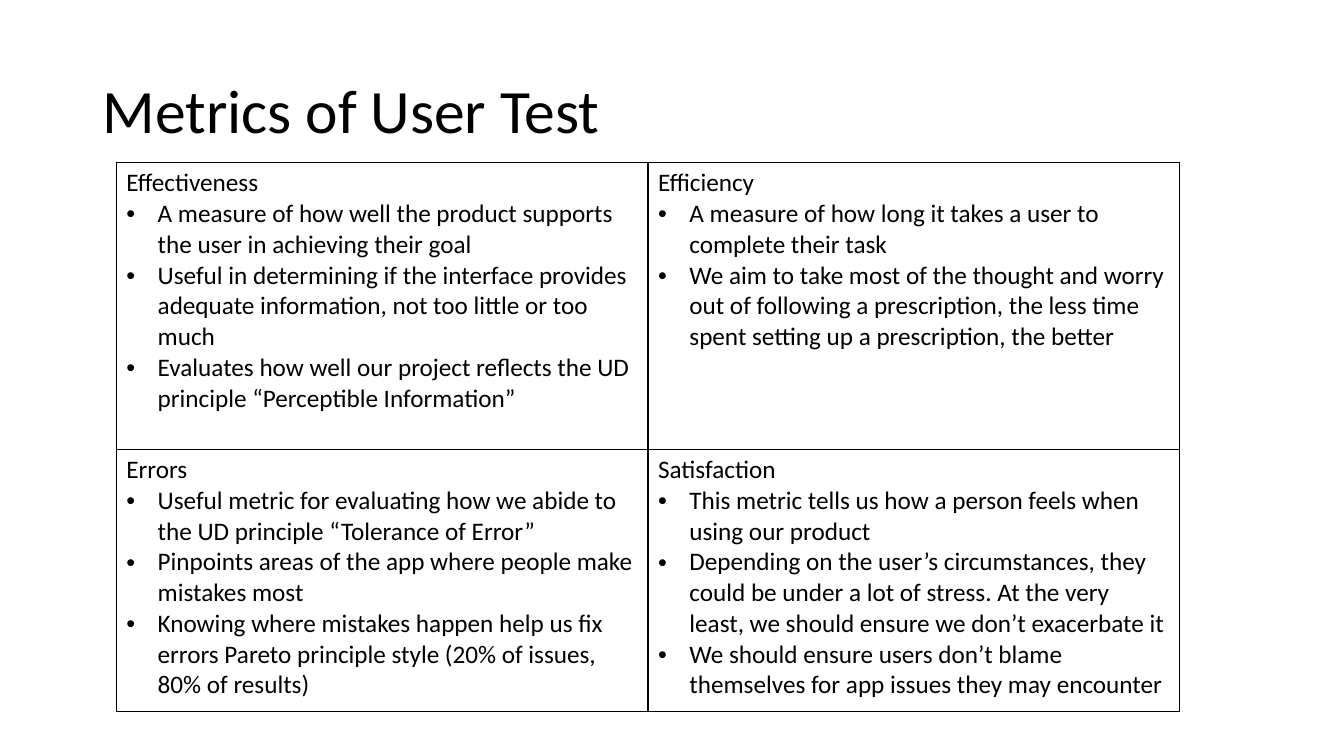
from lxml import etree
from pptx import Presentation
from pptx import util as u
from pptx.dml.color import RGBColor
from pptx.enum import text
from pptx.oxml.ns import qn

BLACK = RGBColor(0, 0, 0)
FONT = "Calibri"
TITLE = "Metrics of User Test"

# Each metric: heading, then its bullets
METRICS = [
    [
        ("Effectiveness", [
            "A measure of how well the product supports the user in achieving their goal",
            "Useful in determining if the interface provides adequate information, "
            "not too little or too much",
            "Evaluates how well our project reflects the UD principle “Perceptible Information”",
        ]),
        ("Efficiency", [
            "A measure of how long it takes a user to complete their task",
            "We aim to take most of the thought and worry out of following a prescription, "
            "the less time spent setting up a prescription, the better",
        ]),
    ],
    [
        ("Errors", [
            "Useful metric for evaluating how we abide to the UD principle “Tolerance of Error”",
            "Pinpoints areas of the app where people make mistakes most",
            "Knowing where mistakes happen help us fix errors Pareto principle style "
            "(20% of issues, 80% of results)",
        ]),
        ("Satisfaction", [
            "This metric tells us how a person feels when using our product",
            "Depending on the user’s circumstances, they could be under a lot of stress. "
            "At the very least, we should ensure we don’t exacerbate it",
            "We should ensure users don’t blame themselves for app issues they may encounter",
        ]),
    ],
]
COL_WIDTH = u.Cm(13.4)
ROW_HEIGHTS = [u.Cm(7.23), u.Cm(6.6)]
INDENT = u.Cm(0.79)


def add_run(p, words, size):
    r = p.add_run()
    r.text = words
    r.font.name, r.font.size = FONT, u.Pt(size)
    r.font.color.rgb = BLACK


def add_bullet(p):
    pPr = p._p.get_or_add_pPr()
    pPr.set("marL", str(INDENT))
    pPr.set("indent", str(-INDENT))
    etree.SubElement(pPr, qn("a:buFont")).set("typeface", "Arial")
    etree.SubElement(pPr, qn("a:buChar")).set("char", "•")


def add_borders(cell):
    tcPr = cell._tc.get_or_add_tcPr()
    for i, side in enumerate(("lnL", "lnR", "lnT", "lnB")):
        ln = etree.Element(qn("a:" + side), w=str(u.Pt(1)))
        fill = etree.SubElement(ln, qn("a:solidFill"))
        etree.SubElement(fill, qn("a:srgbClr")).set("val", str(BLACK))
        tcPr.insert(i, ln)


prs = Presentation()
prs.slide_width, prs.slide_height = u.Cm(33.87), u.Cm(19.05)
s = prs.slides.add_slide(prs.slide_layouts[5])

# Title
sp = s.shapes.title
sp.left, sp.top, sp.width, sp.height = u.Cm(2.33), u.Cm(1.01), u.Cm(29.21), u.Cm(3.68)
tf = sp.text_frame
tf.vertical_anchor = text.MSO_ANCHOR.MIDDLE
p = tf.paragraphs[0]
p.alignment, p.line_spacing = text.PP_ALIGN.LEFT, 0.9
add_run(p, TITLE, 44)

# Table of metrics
table = s.shapes.add_table(2, 2, u.Cm(2.93), u.Cm(4.1),
                           2 * COL_WIDTH, sum(ROW_HEIGHTS)).table
table.first_row = table.horz_banding = False
for col in table.columns:
    col.width = COL_WIDTH
for row, height, metrics in zip(table.rows, ROW_HEIGHTS, METRICS):
    row.height = height
    for cell, (heading, bullets) in zip(row.cells, metrics):
        cell.fill.background()
        add_borders(cell)
        tf = cell.text_frame
        add_run(tf.paragraphs[0], heading, 18)
        for bullet in bullets:
            p = tf.add_paragraph()
            add_bullet(p)
            add_run(p, bullet, 18)

prs.save("out.pptx")
